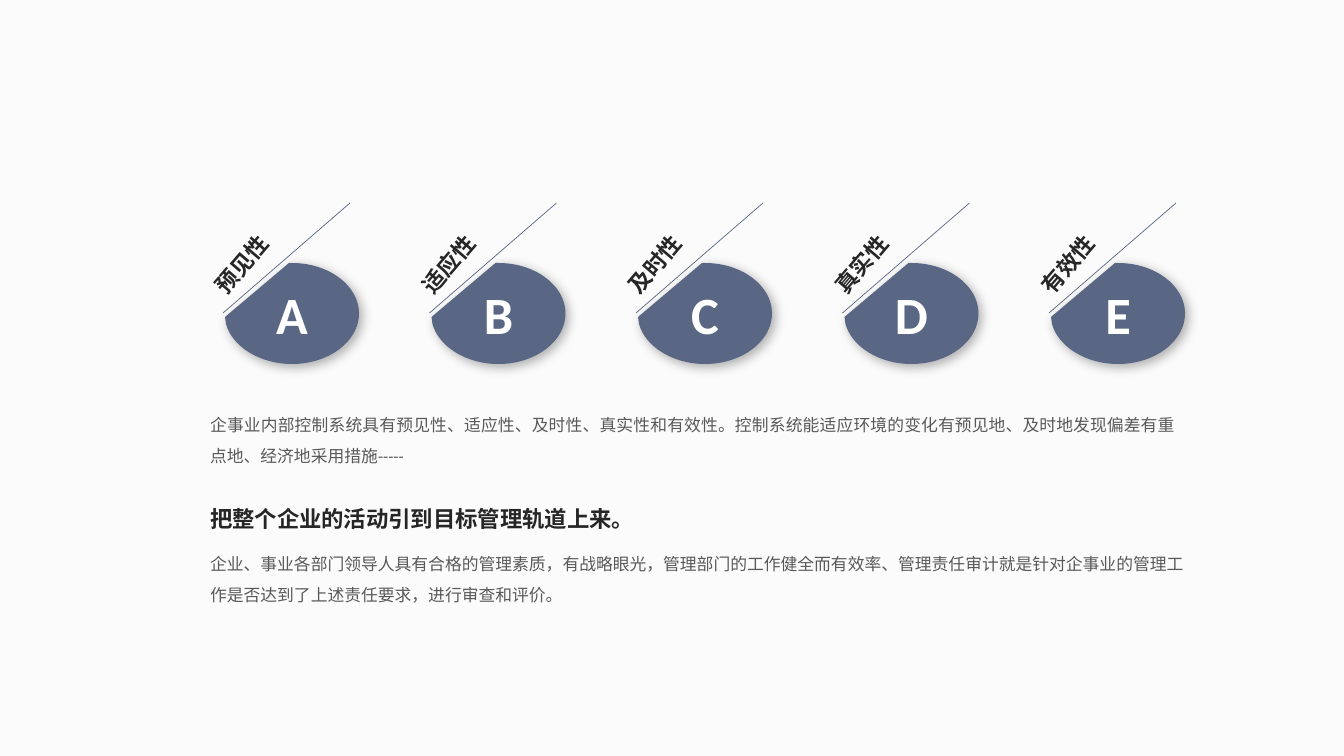
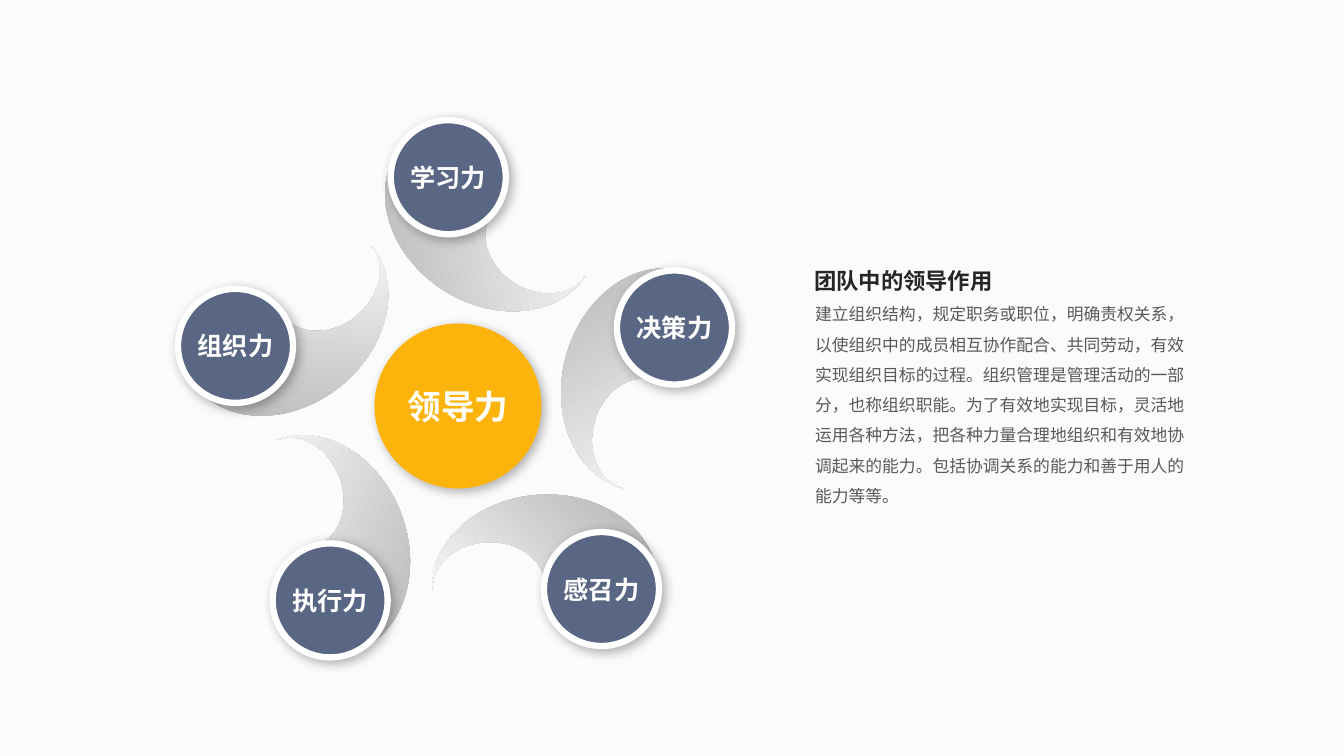
from math import cos, radians, sin

from lxml import etree
from pptx import Presentation
from pptx.dml.color import RGBColor
from pptx.enum.lang import MSO_LANGUAGE_ID
from pptx.enum.shapes import MSO_CONNECTOR, MSO_SHAPE
from pptx.enum.text import MSO_ANCHOR, MSO_AUTO_SIZE, PP_ALIGN
from pptx.oxml.ns import qn
from pptx.util import Emu, Pt

LEFT, CENTER, JUSTIFY = PP_ALIGN.LEFT, PP_ALIGN.CENTER, PP_ALIGN.JUSTIFY
TOP, MIDDLE = MSO_ANCHOR.TOP, MSO_ANCHOR.MIDDLE
ELLIPSE, STRAIGHT = MSO_SHAPE.OVAL, MSO_CONNECTOR.STRAIGHT
CHINESE = MSO_LANGUAGE_ID.SIMPLIFIED_CHINESE

WIDTH, HEIGHT = 1344, 756
SCALE = 12192000 / WIDTH
KAPPA = 0.55
FONT = "Calibri"
PAPER, WHITE, BLUE, AMBER = "FBFBFB", "FFFFFF", "596784", "FCB30B"
DARK, GREY, SILVER, BLACK = "262626", "595959", "B2B2B2", "000000"

QUALITIES = [("A", "预见性"), ("B", "适应性"), ("C", "及时性"),
             ("D", "真实性"), ("E", "有效性")]
CONTROL_TITLE = "把整个企业的活动引到目标管理轨道上来。"
CONTROL_INTRO = ("企事业内部控制系统具有预见性、适应性、及时性、真实性和有效性。"
                 "控制系统能适应环境的变化有预见地、及时地发现偏差有重点地、"
                 "经济地采用措施-----")
CONTROL_AUDIT = ("企业、事业各部门领导人具有合格的管理素质，有战略眼光，"
                 "管理部门的工作健全而有效率、管理责任审计就是针对企事业的"
                 "管理工作是否达到了上述责任要求，进行审查和评价。")
HUB = "领导力"
POWERS = ["决策力", "感召力", "执行力", "组织力", "学习力"]
TEAM_TITLE = "团队中的领导作用"
TEAM_TEXT = ("建立组织结构，规定职务或职位，明确责权关系，以使组织中的成员"
             "相互协作配合、共同劳动，有效实现组织目标的过程。组织管理是管理"
             "活动的一部分，也称组织职能。为了有效地实现目标，灵活地运用各种"
             "方法，把各种力量合理地组织和有效地协调起来的能力。包括协调关系"
             "的能力和善于用人的能力等等。")

DROP_LEFT, DROP_LAST, DROP_TOP = 225, 1051, 263
DROP_W, DROP_H = 134, 101
WHEEL_X, WHEEL_Y = 458, 408
PETAL_RING, DISC_RING = 176, 231
PETAL_W, PETAL_H = 134, 225


def px(n):
    return Emu(round(n * SCALE))


def rgb(color):
    return RGBColor.from_string(color)


def place(sp, x, y, w, h):
    sp.left, sp.top, sp.width, sp.height = px(x), px(y), px(w), px(h)


def write(sp, text, size, color, bold=False, align=LEFT, anchor=TOP,
          spacing=1.0, wrap=True):
    tf = sp.text_frame
    tf.text = text
    tf.word_wrap = wrap
    tf.auto_size = MSO_AUTO_SIZE.NONE
    tf.vertical_anchor = anchor
    p = tf.paragraphs[0]
    p.alignment, p.line_spacing = align, spacing
    p.space_before = Pt(0)
    r = p.runs[0]
    r.font.size, r.font.bold, r.font.name = Pt(size), bold, FONT
    r.font.color.rgb = rgb(color)
    r.font.language_id = CHINESE
    etree.SubElement(r.font._element, qn("a:ea"), typeface=FONT)


def no_insets(sp):
    tf = sp.text_frame
    tf.margin_left = tf.margin_right = tf.margin_top = tf.margin_bottom = 0


def heading(s, text, x, y, w):
    sp = s.shapes.title
    place(sp, x, y, w, 37)
    write(sp, text, 16, DARK, bold=True)


def body(s, idx, text, box, align=LEFT):
    sp = s.placeholders[idx]
    place(sp, *box)
    write(sp, text, 12, GREY, align=align, spacing=1.5)
    pPr = sp.text_frame.paragraphs[0]._p.get_or_add_pPr()
    pPr.set("marL", "0")
    pPr.set("indent", "0")
    etree.SubElement(pPr, qn("a:buNone"))


def paint(sp, color):
    sp.shadow.inherit = False
    sp.fill.solid()
    sp.fill.fore_color.rgb = rgb(color)
    sp.line.fill.background()


def cast_shadow(sp):
    effects = sp._element.spPr.find(qn("a:effectLst"))
    shadow = etree.SubElement(effects, qn("a:outerShdw"), blurRad=str(Pt(8)),
                              dist=str(Pt(3)), dir="2700000", algn="tl",
                              rotWithShape="0")
    color = etree.SubElement(shadow, qn("a:srgbClr"), val=BLACK)
    etree.SubElement(color, qn("a:alpha"), val="30000")


def quarter(start, corner, end):
    def toward(point):
        return tuple(a + (c - a) * KAPPA for a, c in zip(point, corner))
    return [toward(start), toward(end), end]


def outline(s, x, y, start, curves, corners=()):
    points = [start] + [p for curve in curves for p in curve] + list(corners)
    points = [(px(x + a), px(y + b)) for a, b in points]
    builder = s.shapes.build_freeform(*points[0], scale=1.0)
    builder.add_line_segments(points[1:], close=True)
    sp = builder.convert_to_shape()
    lines = list(sp._element.iter(qn("a:lnTo")))
    for i in range(0, 3 * len(curves), 3):
        curve = etree.Element(qn("a:cubicBezTo"))
        lines[i].addprevious(curve)
        for line in lines[i:i + 3]:
            curve.append(line[0])
            line.getparent().remove(line)
    return sp


def on_ring(radius, angle):
    a = radians(angle)
    return WHEEL_X + radius * cos(a), WHEEL_Y + radius * sin(a)


def drop(s, x, letter, label):
    y, w, h = DROP_TOP, DROP_W, DROP_H
    top, right, bottom = (w / 2, 0), (w, h / 2), (w / 2, h)
    curves = [quarter(top, (w, 0), right), quarter(right, (w, h), bottom),
              [(34, h), (7, 83), (1, 61)]]
    sp = outline(s, x, y, top, curves, [(0, 54), (64, 0)])
    paint(sp, BLUE)
    cast_shadow(sp)
    no_insets(sp)
    write(sp, letter, 37.4, WHITE, bold=True, align=CENTER, anchor=MIDDLE)

    line = s.shapes.add_connector(STRAIGHT, px(x - 2), px(y + 50),
                                  px(x + 125), px(y - 60))
    line.line.color.rgb = rgb(BLUE)
    line.line.width = Pt(0.5)
    etree.SubElement(line._element.spPr, qn("a:effectLst"))

    box = s.shapes.add_textbox(px(x - 42), px(y - 66), px(145), px(82))
    box.rotation = 310.6
    write(box, label, 16, DARK, bold=True, anchor=MIDDLE, spacing=1.5)


def petal(s, cx, cy, rotation):
    w, h = PETAL_W, PETAL_H
    axis, dent = w * 2 / 3, w / 3
    stops = [(axis, 0), (0, h / 2), (axis, h), (dent, h * 3 / 4),
             (axis, h / 2), (w, h / 4), (axis, 0)]
    corners = [(0, 0), (0, h), (dent, h), (dent, h / 2), (w, h / 2), (w, 0)]
    curves = [quarter(*arc) for arc in zip(stops, corners, stops[1:])]
    sp = outline(s, cx - w / 2, cy - h / 2, stops[0], curves)
    paint(sp, SILVER)
    sp.fill.gradient()
    sp.fill.gradient_angle = 315
    for stop, color in zip(sp.fill.gradient_stops, (SILVER, WHITE)):
        stop.color.rgb = rgb(color)
    sp.rotation = rotation


def disc(s, cx, cy, w, h, color, text, size):
    sp = s.shapes.add_shape(ELLIPSE, px(cx - w / 2), px(cy - h / 2),
                            px(w), px(h))
    paint(sp, color)
    cast_shadow(sp)
    no_insets(sp)
    write(sp, text, size, WHITE, bold=True, align=CENTER, anchor=MIDDLE,
          wrap=False)
    return sp


def control_slide(prs):
    s = prs.slides.add_slide(prs.slide_layouts[3])
    pitch = (DROP_LAST - DROP_LEFT) / (len(QUALITIES) - 1)
    for i, (letter, label) in enumerate(QUALITIES):
        drop(s, DROP_LEFT + i * pitch, letter, label)
    body(s, 1, CONTROL_INTRO, (200, 400, 986, 101), JUSTIFY)
    body(s, 2, CONTROL_AUDIT, (200, 539, 1011, 101))
    heading(s, CONTROL_TITLE, 200, 500, 451)


def leadership_slide(prs):
    s = prs.slides.add_slide(prs.slide_layouts[1])
    disc(s, WHEEL_X, WHEEL_Y - 2, 167, 165, AMBER, HUB, 24)
    step = 360 / len(POWERS)
    for i, power in enumerate(POWERS):
        turn = i * step
        petal(s, *on_ring(PETAL_RING, turn - 11.2), turn + 15.2)
        sp = disc(s, *on_ring(DISC_RING, turn - 20.4), 115, 114, BLUE,
                  power, 18)
        sp.line.color.rgb = rgb(WHITE)
        sp.line.width = Pt(4.5)
    heading(s, TEAM_TITLE, 804, 262, 397)
    body(s, 1, TEAM_TEXT, (805, 289, 397, 342))


def main():
    prs = Presentation()
    prs.slide_width, prs.slide_height = px(WIDTH), px(HEIGHT)
    fill = prs.slide_master.background.fill
    fill.solid()
    fill.fore_color.rgb = rgb(PAPER)
    control_slide(prs)
    leadership_slide(prs)
    prs.save("out.pptx")


if __name__ == "__main__":
    main()
